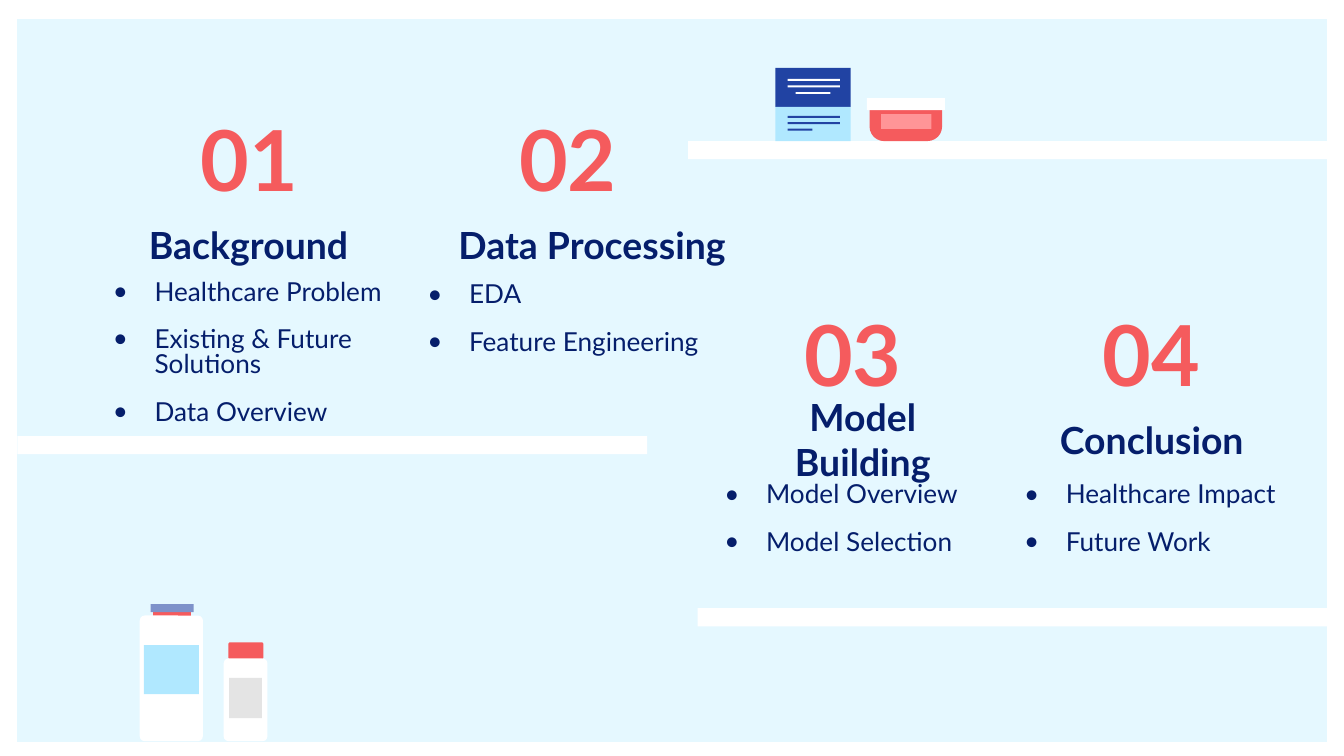
"""Build an agenda slide with four numbered sections on pharmacy shelves."""

from dataclasses import dataclass

import lxml.etree
import pptx
import pptx.dml.color
import pptx.enum.shapes
import pptx.enum.text
import pptx.oxml.ns
import pptx.util

COLORS = {
    "sky": "E5F8FF",
    "white": "FFFFFF",
    "coral": "F55B5D",
    "pink": "FF9597",
    "navy": "051E6B",
    "blue": "2143A3",
    "ice": "B0E8FF",
    "lavender": "7E92CA",
    "gray": "E4E4E4",
}
FONT = "Lato"
COLUMNS, ROWS = 100, 56.25
CELL = pptx.util.Inches(0.1)
INDENT = pptx.util.Inches(0.31)
KINDS = pptx.enum.shapes.MSO_SHAPE
ALIGN = pptx.enum.text.PP_ALIGN


@dataclass(frozen=True)
class Area:
    """A rectangle in columns and rows of the slide grid."""

    left: float
    top: float
    width: float
    height: float

    def lengths(self) -> list[int]:
        """Return the four lengths in slide units."""
        return [round(value * CELL) for value in (self.left, self.top, self.width, self.height)]


@dataclass(frozen=True)
class Block:
    """A filled piece of the illustration."""

    area: Area
    color: str
    kind: int = KINDS.RECTANGLE
    corners: tuple[float, ...] = ()


@dataclass(frozen=True)
class Section:
    """A numbered agenda section with its heading and list."""

    heading: str
    topics: tuple[str, ...]
    number_area: Area
    heading_area: Area
    list_area: Area
    placeholder: int
    space_after: int = 0


SECTIONS = (
    Section("Background", ("Healthcare Problem", "Existing & Future Solutions", "Data Overview"),
            Area(10.8, 8.8, 15.5, 5.9), Area(8.3, 15.7, 20.4, 5),
            Area(7.4, 22.2, 26.9, 8.2), 1, 12),
    Section("Data Processing", ("EDA", "Feature Engineering"),
            Area(34.5, 8.8, 15.5, 5.9), Area(32, 15.7, 24.1, 5),
            Area(30.8, 19.7, 24.5, 8.2), 2, 12),
    Section("Model Building", ("Model Overview", "Model Selection"),
            Area(55.7, 23.3, 15.5, 5.9), Area(54, 30.2, 20.4, 5),
            Area(52.9, 34.6, 19.8, 8.2), 3),
    Section("Conclusion", ("Healthcare Impact", "Future Work"),
            Area(77.9, 23.3, 15.5, 5.9), Area(75.5, 30.2, 20.4, 5),
            Area(75.2, 34.6, 24.5, 8.2), 4),
)

SHELVES = (
    Block(Area(51.2, 10.5, 47.6, 1.35), "white"),
    Block(Area(1.3, 32.45, 46.85, 1.35), "white"),
    Block(Area(51.9, 45.25, 46.9, 1.35), "white"),
)
JAR = (
    Block(Area(64.7, 7.7, 5.4, 2.8), "coral", KINDS.ROUND_2_SAME_RECTANGLE, (0, 0.39)),
    Block(Area(64.5, 7.3, 5.8, 0.9), "white"),
    Block(Area(65.55, 8.5, 3.75, 1.1), "pink"),
)
CARTON = (
    Block(Area(57.7, 5.05, 5.6, 2.9), "blue"),
    Block(Area(57.7, 7.95, 5.6, 2.55), "ice"),
    *(Block(Area(left, top, width, 0.15), color) for left, top, width, color in (
        (58.6, 5.87, 3.9, "white"), (58.6, 6.35, 3.9, "white"), (59.2, 6.85, 2.6, "white"),
        (58.6, 8.63, 3.9, "blue"), (58.6, 9.1, 3.9, "blue"), (58.6, 9.57, 1.85, "blue"))),
)
TALL_BOTTLE = (
    Block(Area(11.4, 45.3, 2.8, 0.8), "coral"),
    Block(Area(11.2, 44.95, 3.2, 0.6), "lavender"),
    Block(Area(10.4, 45.8, 4.7, 9.35), "white", KINDS.ROUNDED_RECTANGLE, (0.08,)),
    Block(Area(10.7, 48, 4.1, 3.65), "ice"),
)
SMALL_BOTTLE = (
    Block(Area(17, 47.8, 2.6, 1.25), "coral", KINDS.ROUNDED_RECTANGLE, (0.1,)),
    Block(Area(16.65, 49, 3.25, 6.15), "white", KINDS.ROUNDED_RECTANGLE, (0.11,)),
    Block(Area(17.05, 50.45, 2.45, 3), "gray"),
)


def rgb(name: str) -> pptx.dml.color.RGBColor:
    """Return a named palette color."""
    return pptx.dml.color.RGBColor.from_string(COLORS[name])


def draw_block(slide, block: Block) -> None:
    """Draw one filled piece without outline or shadow."""
    shape = slide.shapes.add_shape(block.kind, *block.area.lengths())
    shape.shadow.inherit = False
    shape.fill.solid()
    shape.fill.fore_color.rgb = rgb(block.color)
    shape.line.fill.background()
    for index, corner in enumerate(block.corners):
        shape.adjustments[index] = corner


def draw_frame(slide) -> None:
    """Draw the white border around the slide."""
    shape = slide.shapes.add_shape(KINDS.RECTANGLE, *Area(0, 0.2, COLUMNS, ROWS).lengths())
    shape.shadow.inherit = False
    shape.fill.background()
    shape.line.color.rgb = rgb("white")
    shape.line.width = pptx.util.Pt(18)


def write_text(shape, area: Area, text: str, size: int, color: str, bold: bool, align: int) -> None:
    """Place a text shape and format all of its runs."""
    shape.left, shape.top, shape.width, shape.height = area.lengths()
    frame = shape.text_frame
    frame.text = text
    frame.word_wrap = True
    frame.auto_size = pptx.enum.text.MSO_AUTO_SIZE.NONE
    frame.vertical_anchor = pptx.enum.text.MSO_ANCHOR.MIDDLE
    frame.margin_left = frame.margin_right = frame.margin_top = frame.margin_bottom = CELL
    for paragraph in frame.paragraphs:
        paragraph.alignment = align
        paragraph.space_before = pptx.util.Pt(0)
        for run in paragraph.runs:
            run.font.name = FONT
            run.font.size = pptx.util.Pt(size)
            run.font.bold = bold
            run.font.color.rgb = rgb(color)


def add_bullet(paragraph) -> None:
    """Give a paragraph a hanging navy bullet."""
    properties = paragraph._p.get_or_add_pPr()
    properties.set("marL", str(INDENT))
    properties.set("indent", str(-INDENT))
    qn = pptx.oxml.ns.qn
    color = lxml.etree.SubElement(properties, qn("a:buClr"))
    lxml.etree.SubElement(color, qn("a:srgbClr"), val=COLORS["navy"])
    lxml.etree.SubElement(properties, qn("a:buFont"), typeface=FONT)
    lxml.etree.SubElement(properties, qn("a:buChar"), char="•")


def draw_section(slide, position: int, section: Section) -> None:
    """Write the number, heading and list of a section."""
    def text_box(area: Area):
        return slide.shapes.add_textbox(*area.lengths())

    number = slide.shapes.title if position == 1 else text_box(section.number_area)
    write_text(number, section.number_area, f"{position:02}", 45, "coral", True, ALIGN.CENTER)
    write_text(text_box(section.heading_area), section.heading_area, section.heading,
               20, "navy", True, ALIGN.CENTER)
    topics = slide.placeholders[section.placeholder]
    write_text(topics, section.list_area, "\n".join(section.topics), 14, "navy", False, ALIGN.LEFT)
    paragraphs = topics.text_frame.paragraphs
    for index, paragraph in enumerate(paragraphs):
        add_bullet(paragraph)
        paragraph.line_spacing = 0.8
        paragraph.space_before = pptx.util.Pt(12 if index else 0)
    paragraphs[-1].space_after = pptx.util.Pt(section.space_after)


def main() -> None:
    """Build and save the presentation."""
    presentation = pptx.Presentation()
    presentation.slide_width = round(COLUMNS * CELL)
    presentation.slide_height = round(ROWS * CELL)
    slide = presentation.slides.add_slide(presentation.slide_layouts.get_by_name("Comparison"))
    slide.background.fill.solid()
    slide.background.fill.fore_color.rgb = rgb("sky")
    draw_frame(slide)
    for block in SHELVES + JAR + CARTON + TALL_BOTTLE + SMALL_BOTTLE:
        draw_block(slide, block)
    for position, section in enumerate(SECTIONS, start=1):
        draw_section(slide, position, section)
    presentation.save("out.pptx")


if __name__ == "__main__":
    main()
